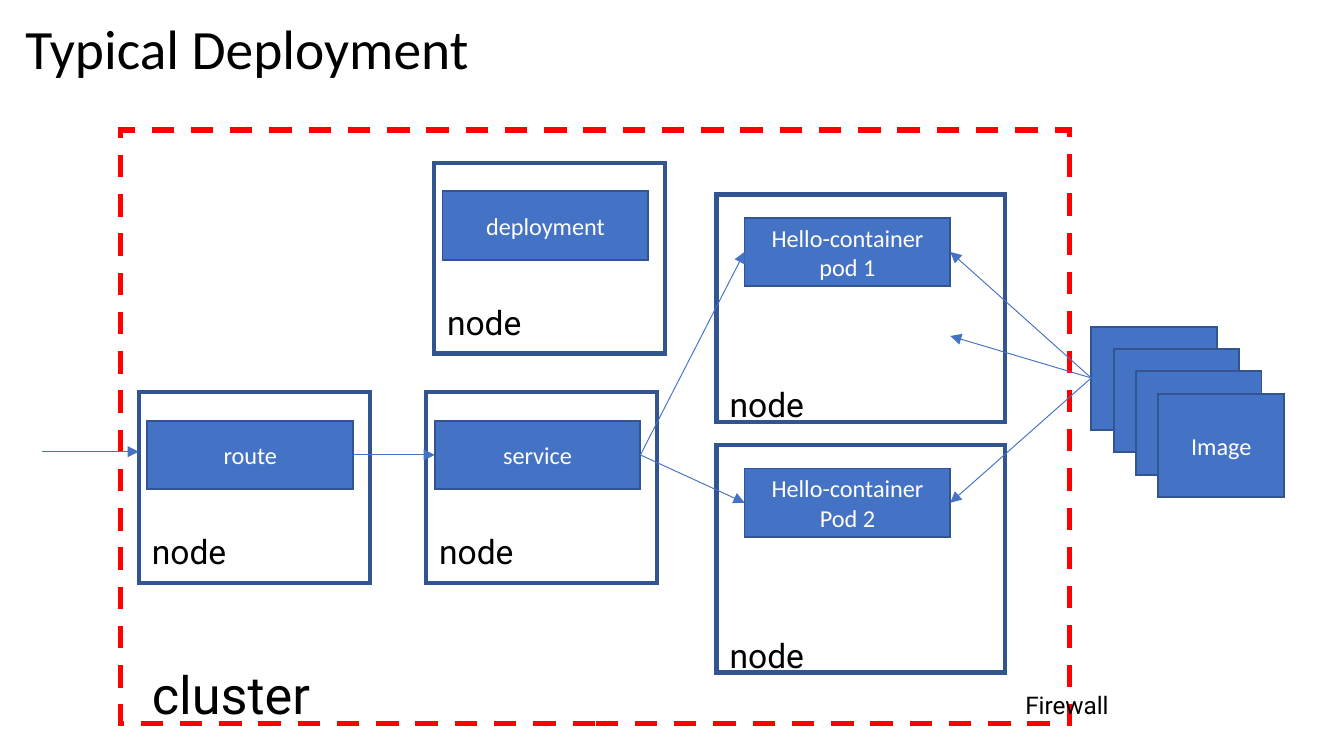
from dataclasses import dataclass

from lxml import etree
from pptx import Presentation
from pptx.dml.color import RGBColor
from pptx.enum import dml, shapes, text
from pptx.oxml import ns
from pptx.util import Pt

BLUE, NAVY, RED = "4472C4", "325491", "FF0000"
BLACK, WHITE = "000000", "FFFFFF"
POD_W, POD_H = 110.2, 36.7


@dataclass(frozen=True)
class Kind:
    """Size of a node, with the offsets of its pod and label."""
    w: float
    h: float
    pod_x: float
    pod_y: float
    label_y: float


@dataclass(frozen=True)
class Node:
    x: float
    y: float
    kind: Kind
    pod: str


@dataclass(frozen=True)
class Arrow:
    x1: float
    y1: float
    x2: float
    y2: float


SMALL = Kind(123.8, 102.2, 4.7, 15.2, 70.9)
LARGE = Kind(154.8, 121.7, 15.1, 12.4, 97.9)

POD1 = Node(383.8, 104.2, LARGE, "Hello-container\npod 1")
POD2 = Node(383.8, 238.6, LARGE, "Hello-container\nPod 2")
SERVICE = Node(228.2, 210.2, SMALL, "service")
ROUTE = Node(74.3, 210.2, SMALL, "route")
DEPLOY = Node(232.4, 87.2, SMALL, "deployment")


def color(code: str) -> RGBColor:
    return RGBColor.from_string(code)


def style(frame, size: float, font: str, code: str) -> None:
    for par in frame.paragraphs:
        for run in par.runs:
            run.font.size = Pt(size)
            run.font.name = font
            run.font.color.rgb = color(code)


def box(slide, x: float, y: float, w: float, h: float,
        fill: str = "", line: str = NAVY, width: float = 1, words: str = ""):
    rect = slide.shapes.add_shape(
        shapes.MSO_SHAPE.RECTANGLE, Pt(x), Pt(y), Pt(w), Pt(h))
    rect.shadow.inherit = False
    if fill:
        rect.fill.solid()
        rect.fill.fore_color.rgb = color(fill)
    else:
        rect.fill.background()
    rect.line.color.rgb = color(line)
    rect.line.width = Pt(width)
    # Square corners
    join = etree.SubElement(rect.line._get_or_add_ln(), ns.qn("a:miter"))
    join.set("lim", "800000")
    if words:
        frame = rect.text_frame
        frame.text = words
        frame.vertical_anchor = text.MSO_ANCHOR.MIDDLE
        for par in frame.paragraphs:
            par.alignment = text.PP_ALIGN.CENTER
        style(frame, 13, "Calibri", WHITE)
    return rect


def label(slide, x: float, y: float, w: float, h: float,
          words: str, size: float, font: str = "Roboto"):
    frame = slide.shapes.add_textbox(Pt(x), Pt(y), Pt(w), Pt(h)).text_frame
    frame.word_wrap = False
    frame.text = words
    style(frame, size, font, BLACK)
    return frame


def draw_node(slide, node: Node) -> None:
    kind = node.kind
    box(slide, node.x, node.y, kind.w, kind.h, width=2.25)
    box(slide, node.x + kind.pod_x, node.y + kind.pod_y, POD_W, POD_H,
        fill=BLUE, words=node.pod)
    label(slide, node.x, node.y + kind.label_y, 55.4, 28.8, "node", 18)


def draw_arrow(slide, arrow: Arrow) -> None:
    link = slide.shapes.add_connector(
        shapes.MSO_CONNECTOR.STRAIGHT,
        Pt(arrow.x1), Pt(arrow.y1), Pt(arrow.x2), Pt(arrow.y2))
    link.line.color.rgb = color(BLUE)
    link.line.width = Pt(0.5)
    tip = etree.SubElement(link.line._get_or_add_ln(), ns.qn("a:tailEnd"))
    tip.set("type", "triangle")
    etree.SubElement(link._element.spPr, ns.qn("a:effectLst"))


def sides(node: Node) -> tuple[float, float, float]:
    """Left, right and middle height of the pod in a node."""
    left = node.x + node.kind.pod_x
    return left, left + POD_W, node.y + node.kind.pod_y + POD_H / 2


def main() -> None:
    deck = Presentation()
    deck.slide_width, deck.slide_height = Pt(720), Pt(405)
    slide = deck.slides.add_slide(deck.slide_layouts[6])

    # Title
    title = label(slide, 6.5, 9.4, 620.6, 36.7,
                  "Typical Deployment", 29.7, "Calibri")
    title.word_wrap = True
    title.vertical_anchor = text.MSO_ANCHOR.MIDDLE
    title.paragraphs[0].line_spacing = 0.9

    # Stack of images
    stack_x, stack_y, step = 584.6, 175, 12
    for i in range(4):
        box(slide, stack_x + i * step, stack_y + i * step, 67.3, 55.4,
            fill=BLUE, words="Image" if i == 3 else "")

    # Nodes and the cluster around them
    for node in (POD1, POD2, SERVICE, ROUTE):
        draw_node(slide, node)
    wall = box(slide, 64.6, 69.5, 508.3, 318.2, line=RED, width=3)
    wall.line.dash_style = dml.MSO_LINE.DASH
    draw_node(slide, DEPLOY)

    # Traffic from the route to the pods, and images to the pods
    _, route_r, mid = sides(ROUTE)
    serv_l, serv_r, _ = sides(SERVICE)
    pod_l, pod_r, top = sides(POD1)
    low = sides(POD2)[2]
    draw_arrow(slide, Arrow(22.5, 242, ROUTE.x, 242))
    draw_arrow(slide, Arrow(route_r, mid, serv_l, mid))
    for y in (top, low):
        draw_arrow(slide, Arrow(serv_r, mid, pod_l, y))
    for y in (top, 180, low):
        draw_arrow(slide, Arrow(stack_x, 202.5, pod_r, y))

    # Captions
    label(slide, 542.2, 366.5, 61.2, 23, "Firewall", 13)
    label(slide, 74.3, 351.4, 102.2, 41, "cluster", 28)

    deck.save("out.pptx")


if __name__ == "__main__":
    main()
